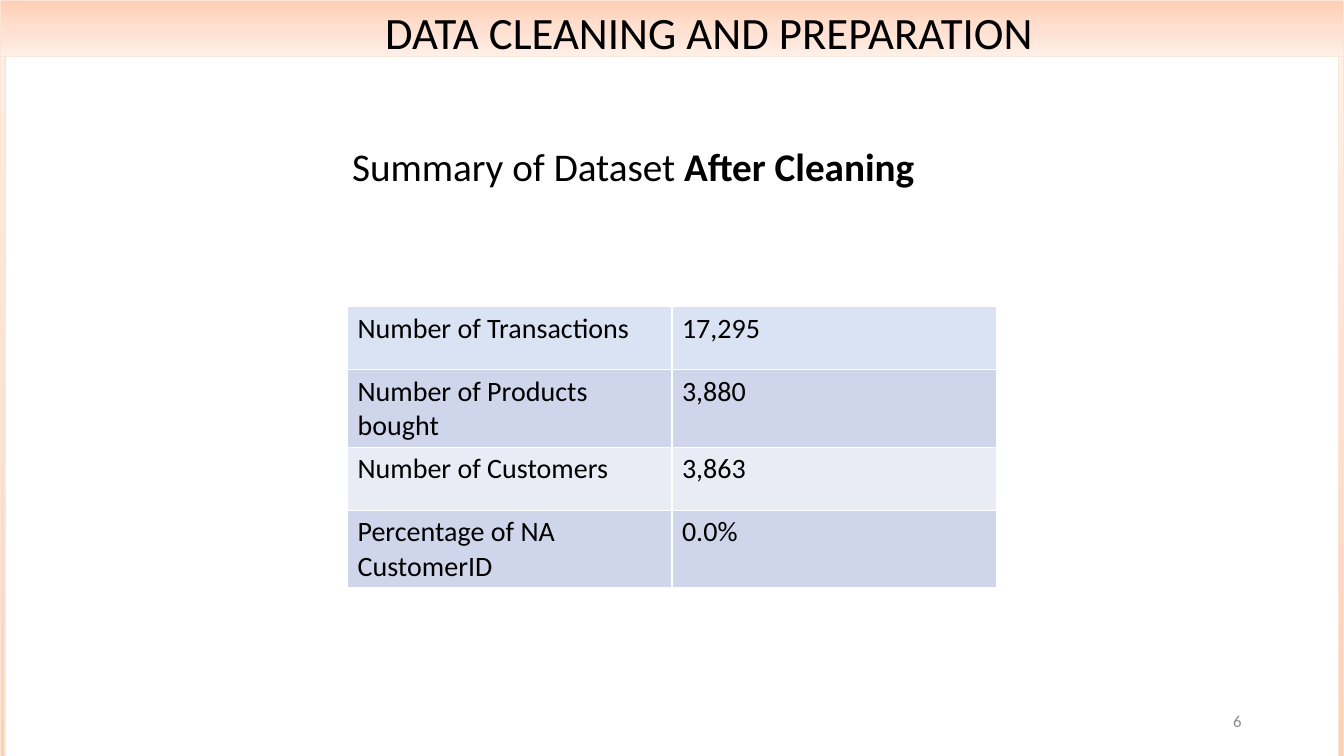
"""Build the slide that summarises the dataset after cleaning."""
from dataclasses import dataclass

from pptx import Presentation
from pptx.dml.color import RGBColor
from pptx.enum.shapes import MSO_SHAPE
from pptx.enum.text import MSO_ANCHOR, MSO_AUTO_SIZE, PP_ALIGN
from pptx.oxml import parse_xml
from pptx.oxml.ns import nsdecls, qn
from pptx.util import Pt

PX = 9525
FONT = "Calibri"
BLACK = "000000"
FRAME_STOPS = ((0, "FFCEB3"), (50, "FFDFCF"), (100, "FFEFE7"))
DOWNWARD = '<a:lin ang="5400000" scaled="0"/>'
CORNER = '<a:path path="circle"><a:fillToRect l="100000" t="100000"/></a:path>'


@dataclass(frozen=True)
class Area:
    left: int
    top: int
    width: int
    height: int

    def emu(self) -> tuple[int, int, int, int]:
        return self.left * PX, self.top * PX, self.width * PX, self.height * PX


@dataclass(frozen=True)
class FrameBar:
    area: Area
    direction: str


@dataclass(frozen=True)
class Label:
    area: Area
    text: str
    size: int
    color: str
    align: PP_ALIGN
    anchor: MSO_ANCHOR


@dataclass(frozen=True)
class SummaryRow:
    name: str
    value: str
    fill: str
    height: int


FRAME_BARS = (
    FrameBar(Area(0, 0, 1280, 54), DOWNWARD),
    FrameBar(Area(0, 54, 5, 681), CORNER),
    FrameBar(Area(1275, 54, 5, 681), CORNER),
)
LABELS = (
    Label(Area(189, 0, 973, 61), "DATA CLEANING AND PREPARATION", 32, BLACK,
          PP_ALIGN.CENTER, MSO_ANCHOR.TOP),
    Label(Area(904, 667, 288, 38), "6", 12, "8C8C8C", PP_ALIGN.RIGHT, MSO_ANCHOR.MIDDLE),
)
SUMMARY = (
    SummaryRow("Number of Transactions", "17,295", "DAE3F3", 60),
    SummaryRow("Number of Products bought", "3,880", "CFD5EA", 74),
    SummaryRow("Number of Customers", "3,863", "E9EBF5", 60),
    SummaryRow("Percentage of NA CustomerID", "0.0%", "CFD5EA", 74),
)


def paint(target, color: str) -> None:
    target.rgb = RGBColor.from_string(color)


def set_font(paragraph, size: int, color: str) -> None:
    paragraph.font.name = FONT
    paragraph.font.size = Pt(size)
    paint(paragraph.font.color, color)


def add_frame_bar(page, bar: FrameBar) -> None:
    shape = page.shapes.add_shape(MSO_SHAPE.RECTANGLE, *bar.area.emu())
    shape.shadow.inherit = False
    shape.fill.gradient()
    stops = "".join(f'<a:gs pos="{position * 1000}"><a:srgbClr val="{color}"/></a:gs>'
                    for position, color in FRAME_STOPS)
    gradient = parse_xml(f'<a:gradFill {nsdecls("a")} rotWithShape="1">'
                         f'<a:gsLst>{stops}</a:gsLst>{bar.direction}</a:gradFill>')
    properties = shape.element.spPr
    properties.replace(properties.find(qn("a:gradFill")), gradient)
    paint(shape.line.fill.fore_color if shape.line.fill.solid() else shape.line.color, "FBE5D6")
    shape.line.width = Pt(1)


def add_label(page, label: Label) -> None:
    frame = page.shapes.add_textbox(*label.area.emu()).text_frame
    frame.word_wrap = True
    frame.vertical_anchor = label.anchor
    paragraph = frame.paragraphs[0]
    paragraph.text = label.text
    paragraph.alignment = label.align
    set_font(paragraph, label.size, label.color)


def fill_title(page) -> None:
    title = page.shapes.title
    title.left, title.top, title.width, title.height = Area(58, 128, 1090, 109).emu()
    frame = title.text_frame
    frame.auto_size = MSO_AUTO_SIZE.NONE
    frame.word_wrap = True
    frame.vertical_anchor = MSO_ANCHOR.TOP
    frame.margin_top = 13 * PX
    paragraph = frame.paragraphs[0]
    paragraph.alignment = PP_ALIGN.CENTER
    paragraph.line_spacing = 0.9
    set_font(paragraph, 28, BLACK)
    for text, bold in (("Summary of Dataset ", False), ("After Cleaning", True)):
        span = paragraph.add_run()
        span.text = text
        span.font.bold = bold


def add_borders(cell) -> None:
    properties = cell._tc.get_or_add_tcPr()
    for index, side in enumerate("LRTB"):
        properties.insert(index, parse_xml(
            f'<a:ln{side} {nsdecls("a")} w="12700"><a:solidFill>'
            f'<a:srgbClr val="FFFFFF"/></a:solidFill></a:ln{side}>'))


def add_summary_table(page) -> None:
    area = Area(331, 292, 618, sum(row.height for row in SUMMARY))
    table = page.shapes.add_table(len(SUMMARY), 2, *area.emu()).table
    table.first_row = False
    table.horz_banding = False
    for row_index, row in enumerate(SUMMARY):
        table.rows[row_index].height = row.height * PX
        for column_index, text in enumerate((row.name, row.value)):
            cell = table.cell(row_index, column_index)
            cell.fill.solid()
            paint(cell.fill.fore_color, row.fill)
            add_borders(cell)
            paragraph = cell.text_frame.paragraphs[0]
            paragraph.text = text
            set_font(paragraph, 20, BLACK)


def main() -> None:
    deck = Presentation()
    deck.slide_width, deck.slide_height = 1280 * PX, 720 * PX
    page = deck.slides.add_slide(deck.slide_layouts[5])
    for bar in FRAME_BARS:
        add_frame_bar(page, bar)
    for label in LABELS:
        add_label(page, label)
    fill_title(page)
    add_summary_table(page)
    deck.save("out.pptx")


if __name__ == "__main__":
    main()
